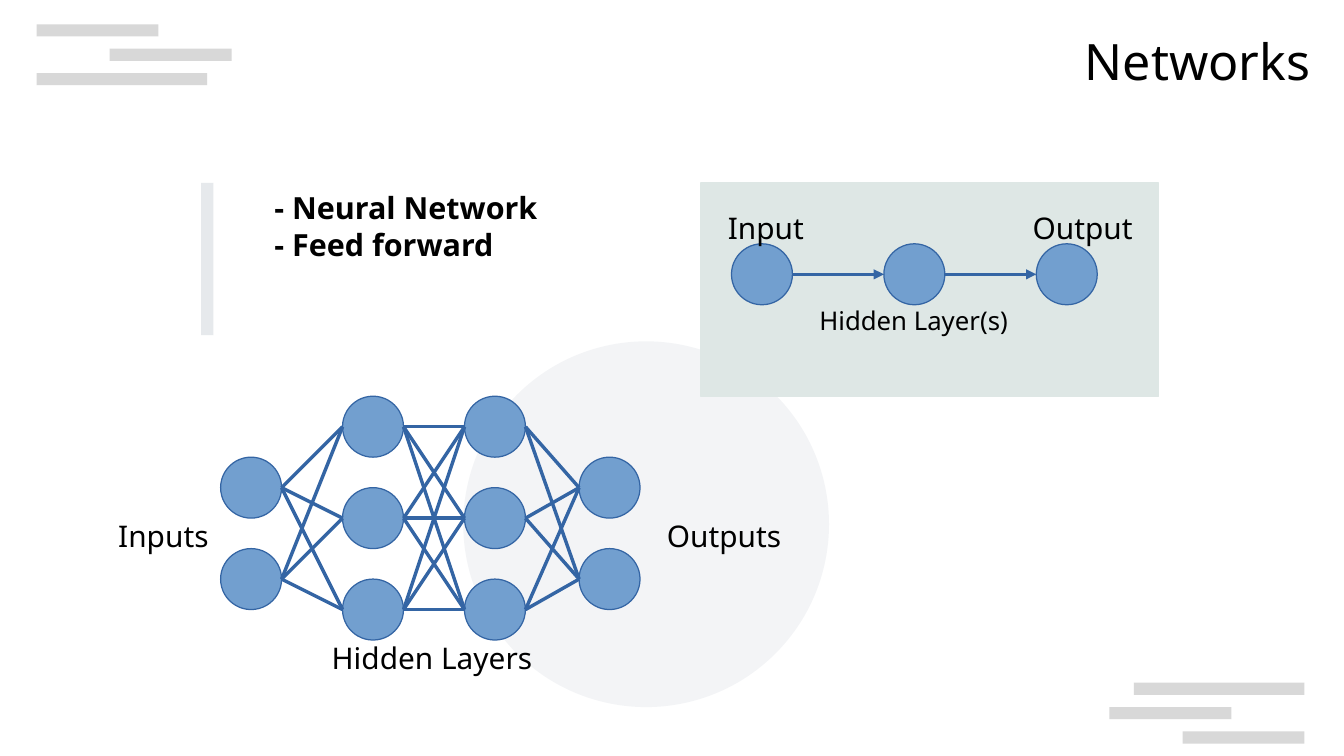
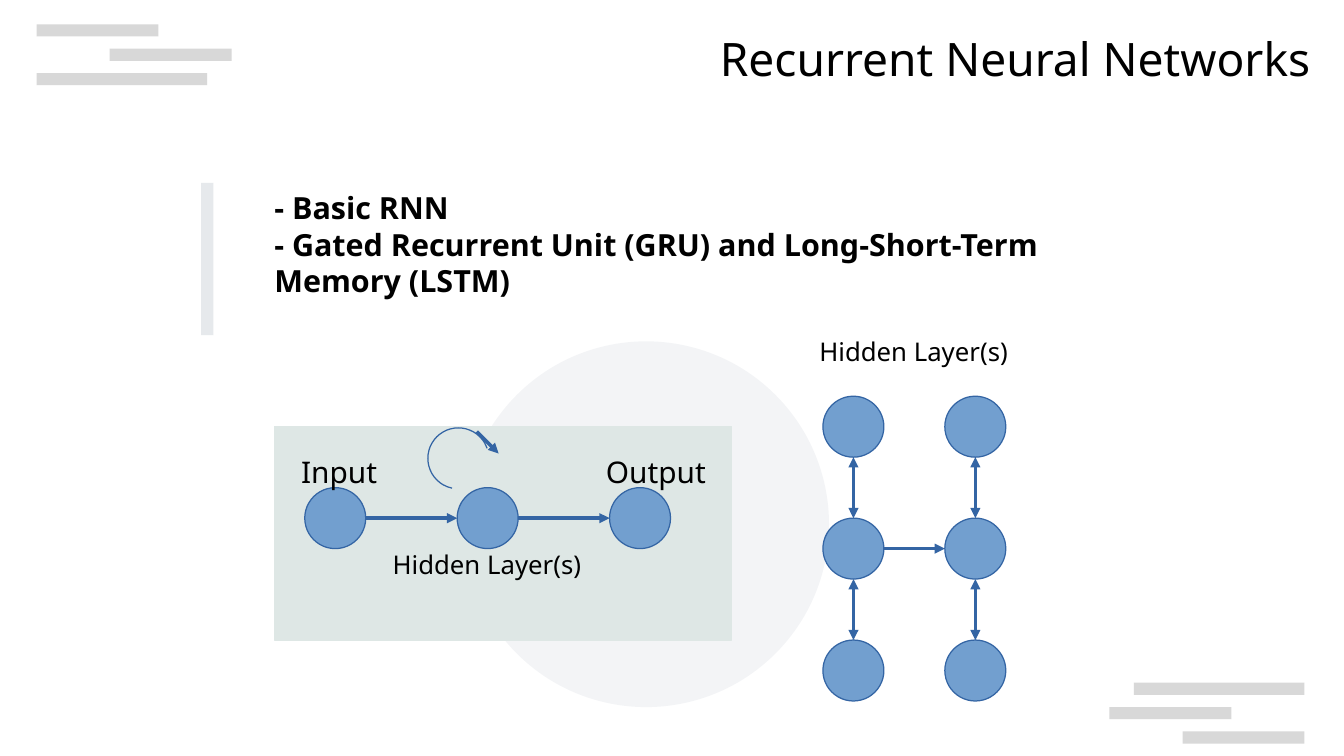
import itertools

import pptx
import pptx.dml.color
import pptx.enum.shapes
import pptx.enum.text
import pptx.oxml.ns
import pptx.oxml.xmlchemy
import pptx.util
from lxml import etree
from pptx.dml.color import RGBColor
from pptx.util import Cm

SHAPE = pptx.enum.shapes.MSO_SHAPE
ALIGN = pptx.enum.text.PP_ALIGN
qn = pptx.oxml.ns.qn

BLACK = RGBColor(0x00, 0x00, 0x00)
BAR_GREY = RGBColor(0xCC, 0xCC, 0xCC)
DISC_GREY = RGBColor(0x8D, 0x99, 0xAE)
ACCENT_GREY = RGBColor(0xCE, 0xD4, 0xDA)
PANEL_GREEN = RGBColor(0xDE, 0xE7, 0xE5)
NODE_BLUE = RGBColor(0x72, 0x9F, 0xCF)
LINE_BLUE = RGBColor(0x34, 0x65, 0xA4)

FONT = "Noto Sans"
NODE = 0.5
LABEL_INDENT = 0.47
LABEL_HEIGHT = 0.28
LABEL_SIZE = 17.6
SMALL_LABEL_SIZE = 15.2

BARS = [(9.3, 5.6, 1.4), (9.1, 5.8, 1), (9.7, 6, 1),
        (0.3, 0.6, 1.4), (0.9, 0.4, 1), (0.3, 0.2, 1)]


def lengths(*inches):
    """Turn positions on the quarter-inch design grid into lengths."""
    return [Cm(2.54 * value) for value in inches]


def add_shape(slide, kind, box, fill=None, line=None, opacity=100):
    """Add a preset shape at box (left, top, width, height)."""
    shape = slide.shapes.add_shape(kind, *lengths(*box))
    shape.shadow.inherit = False
    if fill is None:
        shape.fill.background()
    else:
        shape.fill.solid()
        shape.fill.fore_color.rgb = fill
    if opacity < 100:
        color = shape.element.spPr.find(qn("a:solidFill"))[0]
        etree.SubElement(color, qn("a:alpha"), val=str(opacity * 1000))
    if line is None:
        shape.line.fill.background()
    else:
        shape.line.color.rgb = line
        shape.line.width = 0
    return shape


def add_line(slide, start, end, heads=()):
    """Add a hairline; heads names the ends ("head", "tail") with an arrow."""
    line = slide.shapes.add_connector(
        pptx.enum.shapes.MSO_CONNECTOR.STRAIGHT, *lengths(*start, *end))
    line.line.color.rgb = LINE_BLUE
    line.line.width = 0
    properties = line.element.spPr
    for name in heads:
        etree.SubElement(properties.find(qn("a:ln")), qn(f"a:{name}End"), type="triangle")
    etree.SubElement(properties, qn("a:effectLst"))


def write_text(frame, lines, *, size, bold=False, align=ALIGN.LEFT, margins=(0, 0, 0, 0)):
    """Fill a text frame; margins are left, top, right and bottom."""
    frame.word_wrap = True
    frame.auto_size = pptx.enum.text.MSO_AUTO_SIZE.NONE
    frame.vertical_anchor = pptx.enum.text.MSO_ANCHOR.TOP
    (frame.margin_left, frame.margin_top,
     frame.margin_right, frame.margin_bottom) = lengths(*margins)
    frame.text = "\n".join(lines)
    for para in frame.paragraphs:
        para.alignment = align
        para.space_before = pptx.util.Pt(0)
        font = para.runs[0].font
        font.name, font.size, font.bold = FONT, pptx.util.Pt(size), bold
        font.color.rgb = BLACK


def place(shape, box):
    shape.left, shape.top, shape.width, shape.height = lengths(*box)


def add_label(slide, text, left, top, width=1.5, size=LABEL_SIZE):
    box = slide.shapes.add_textbox(*lengths(left, top, width, LABEL_HEIGHT))
    write_text(box.text_frame, [text], size=size, margins=(LABEL_INDENT, 0, 0, 0))


def add_node(slide, left, top):
    add_shape(slide, SHAPE.OVAL, (left, top, NODE, NODE), NODE_BLUE, LINE_BLUE)


def add_chain(slide, left, top):
    """Draw the panel with input, hidden and output nodes in a row."""
    add_shape(slide, SHAPE.RECTANGLE, (left, top, 3.75, 1.75), PANEL_GREEN, PANEL_GREEN)
    nodes = [left + 0.25 + 1.25 * index for index in range(3)]
    for node in nodes:
        add_node(slide, node, top + NODE)
    middle = top + 1.5 * NODE
    for source, target in itertools.pairwise(nodes):
        add_line(slide, (source + NODE, middle), (target, middle), ["tail"])
    add_label(slide, "Input", left - 0.25, top + 0.22)
    add_label(slide, "Hidden Layer(s)", left + 0.5, top + 1, 2.25, SMALL_LABEL_SIZE)
    add_label(slide, "Output", left + 2.25, top + 0.22)


def add_dense_network(slide):
    """Draw layers in which each node is joined to every node of the next."""
    layers = [(1.81, 3.75, 2), (2.81, 3.25, 3), (3.81, 3.25, 3), (4.75, 3.75, 2)]
    columns = [[(left, top + 0.75 * row) for row in range(count)]
               for left, top, count in layers]
    for left, top in itertools.chain.from_iterable(columns):
        add_node(slide, left, top)
    for sources, targets in itertools.pairwise(columns):
        for source, target in itertools.product(sources, targets):
            add_line(slide, (source[0] + NODE, source[1] + NODE / 2),
                     (target[0], target[1] + NODE / 2))


def add_recurrent_grid(slide, left, top):
    """Draw two linked columns of three nodes, one step apart."""
    step = 2 * NODE
    for column, row in itertools.product(range(2), range(3)):
        x, y = left + column * step, top + row * step
        add_node(slide, x, y)
        if row < 2:
            add_line(slide, (x + NODE / 2, y + NODE), (x + NODE / 2, y + step),
                     ["head", "tail"])
    middle = top + step + NODE / 2
    add_line(slide, (left + NODE, middle), (left + step, middle), ["tail"])


def add_loop(slide):
    arc = add_shape(slide, SHAPE.ARC, (3.51, 3.51, NODE, NODE), line=LINE_BLUE)
    for index, degrees in enumerate((101.88, 340.95)):
        arc.adjustments[index] = degrees * 0.6
    add_line(slide, (3.91, 3.54), (4.09, 3.72), ["tail"])


def decorate_layout(layout, slide):
    """Build the shared bars and disc on a slide and move them to its layout."""
    shapes = [add_shape(slide, SHAPE.RECTANGLE, (*bar, 0.1), BAR_GREY, opacity=75)
              for bar in BARS]
    shapes.append(add_shape(slide, SHAPE.OVAL, (3.8, 2.8, 3, 3), DISC_GREY, opacity=10))
    for number, shape in enumerate(shapes, start=100):
        shape.element.nvSpPr.cNvPr.set("id", str(number))
        layout.shapes.element.append(shape.element)


def add_slide(deck, layout, title, title_size, title_box, items, list_box):
    slide = deck.slides.add_slide(layout)
    heading, body = slide.shapes.title, slide.placeholders[1]
    place(heading, title_box)
    write_text(heading.text_frame, [title], size=title_size, align=ALIGN.RIGHT)
    place(body, list_box)
    write_text(body.text_frame, items, size=18, bold=True, margins=(0.1, 0.05, 0.1, 0.05))
    for para in body.text_frame.paragraphs:
        properties = para._p.get_or_add_pPr()
        properties.set("marL", "0")
        properties.set("indent", "0")
        etree.SubElement(properties, qn("a:buNone"))
    add_shape(slide, SHAPE.RECTANGLE, (1.65, 1.5, 0.1, 1.25), ACCENT_GREY, opacity=50)
    return slide


def main():
    deck = pptx.Presentation()
    deck.slide_width, deck.slide_height = Cm(28), Cm(15.75)
    layout = deck.slide_layouts[1]

    networks = add_slide(
        deck, layout, "Networks", 29.6, (7.76, 0.25, 2.99, 0.53),
        ["- Neural Network", "- Feed forward"], (2.15, 1.5, 2.85, 0.78))
    decorate_layout(layout, networks)
    add_dense_network(networks)
    add_chain(networks, 5.75, 1.5)
    add_label(networks, "Hidden Layers", 2.25, 5.25, 2.25)
    add_label(networks, "Inputs", 0.5, 4.25)
    add_label(networks, "Outputs", 5, 4.25)

    recurrent = add_slide(
        deck, layout, "Recurrent Neural Networks", 27.2, (5, 0.25, 5.75, 0.53),
        ["- Basic RNN", "- Gated Recurrent Unit (GRU) and Long-Short-Term Memory (LSTM)"],
        (2.15, 1.5, 6.6, 1.12))
    add_recurrent_grid(recurrent, 6.75, 3.25)
    add_chain(recurrent, 2.25, 3.5)
    add_loop(recurrent)
    add_label(recurrent, "Hidden Layer(s)", 6.25, 2.75, 2.25, SMALL_LABEL_SIZE)

    deck.save("out.pptx")


if __name__ == "__main__":
    main()
